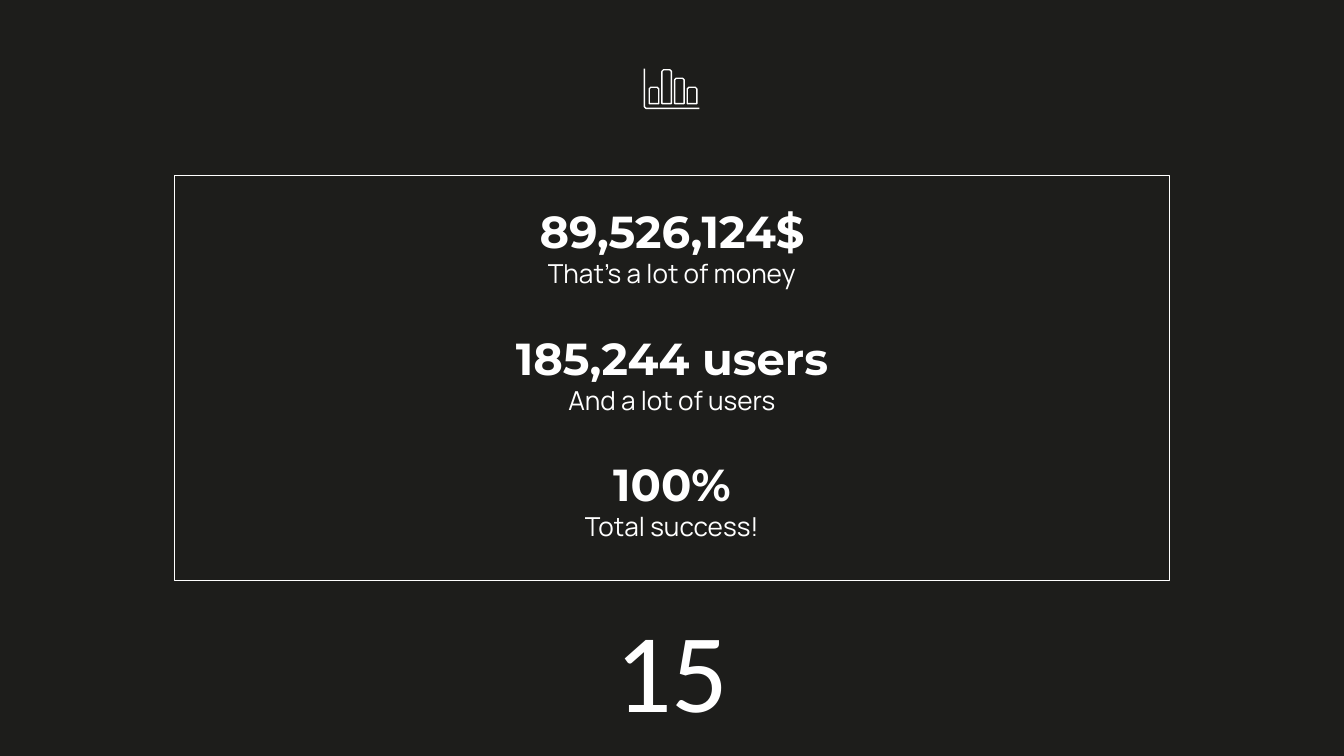
import pptx
import pptx.dml.color
import pptx.enum.text
import pptx.enum.shapes
import pptx.util
from pptx.util import Cm

WHITE = "FFFFFF"
DARK = "1D1D1B"
ANCHOR = pptx.enum.text.MSO_ANCHOR
FIGURES = [
    ("89,526,124$", "That’s a lot of money"),
    ("185,244 users", "And a lot of users"),
    ("100%", "Total success!"),
]


def paint(color_format, color):
    color_format.rgb = pptx.dml.color.RGBColor.from_string(color)


def outline(shape):
    shape.shadow.inherit = False
    shape.fill.background()
    shape.line.width = pptx.util.Pt(0.75)
    shape.line.fill.solid()
    paint(shape.line.color, WHITE)


def add_text(slide, text, box, font, size, bold=False, anchor=ANCHOR.TOP,
             spacing=None, before=None):
    textbox = slide.shapes.add_textbox(*(Cm(length) for length in box))
    frame = textbox.text_frame
    frame.word_wrap = True
    frame.vertical_anchor = anchor
    frame.margin_left = frame.margin_right = Cm(0.25)
    frame.margin_top = frame.margin_bottom = Cm(0.25)
    paragraph = frame.paragraphs[0]
    paragraph.alignment = pptx.enum.text.PP_ALIGN.CENTER
    if spacing:
        paragraph.line_spacing = spacing
    if before:
        paragraph.space_before = pptx.util.Pt(before)
    run = paragraph.add_run()
    run.text = text
    run.font.name = font
    run.font.size = pptx.util.Pt(size)
    run.font.bold = bold
    paint(run.font.color, WHITE)


def add_figures_panel(slide, left, top, width, height):
    frame = slide.shapes.add_shape(
        pptx.enum.shapes.MSO_SHAPE.RECTANGLE,
        Cm(left), Cm(top), Cm(width), Cm(height))
    outline(frame)
    # Each figure stands above its caption, at an equal pitch
    for index, (figure, caption) in enumerate(FIGURES):
        figure_top = top - 0.69 + index * 2.39
        add_text(slide, figure, (left, figure_top, width, 2.49),
                 "Montserrat", 24, bold=True, anchor=ANCHOR.BOTTOM)
        add_text(slide, caption, (left, figure_top + 1.9, width, 1.3),
                 "Manrope", 14, spacing=1.15, before=6)


def add_path(group, points, close):
    start, *others = [(Cm(x), Cm(y)) for x, y in points]
    builder = group.shapes.build_freeform(*start, scale=1.0)
    builder.add_line_segments(others, close=close)
    outline(builder.convert_to_shape())


def add_chart_icon(slide, left, top, width, height):
    icon = slide.shapes.add_group_shape()
    right, bottom, corner = left + width, top + height, 0.03
    # Axes
    add_path(icon, [(left, top), (left, bottom - corner),
                    (left + corner, bottom), (right, bottom)], close=False)
    # Bars with softened top corners
    base, bar_width = bottom - 0.09, 0.18
    for index, bar_height in enumerate([0.31, 0.64, 0.48, 0.31]):
        x = left + 0.09 + index * 0.24
        end, peak = x + bar_width, base - bar_height
        add_path(icon, [(end, base), (end, peak + corner),
                        (end - corner, peak), (x + corner, peak),
                        (x, peak + corner), (x, base)], close=True)


def main():
    presentation = pptx.Presentation()
    presentation.slide_width = Cm(25.4)
    presentation.slide_height = Cm(14.29)
    slide = presentation.slides.add_slide(presentation.slide_layouts[6])
    slide.background.fill.solid()
    paint(slide.background.fill.fore_color, DARK)

    add_figures_panel(slide, 3.3, 3.32, 18.8, 7.65)
    # Slide number
    add_text(slide, "15", (3.3, 10.97, 18.8, 3.32), "Calibri", 60,
             anchor=ANCHOR.MIDDLE)
    add_chart_icon(slide, 12.18, 1.3, 1.04, 0.75)

    presentation.save("out.pptx")


if __name__ == "__main__":
    main()
